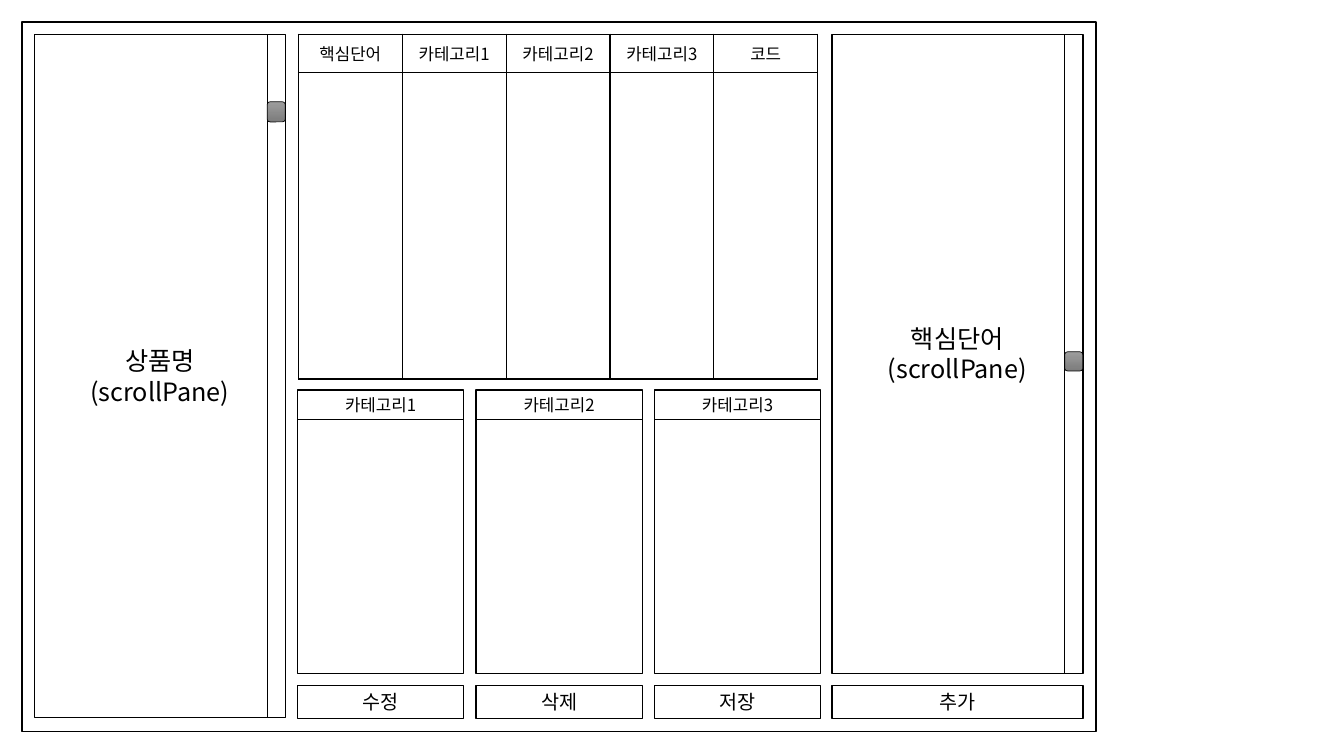
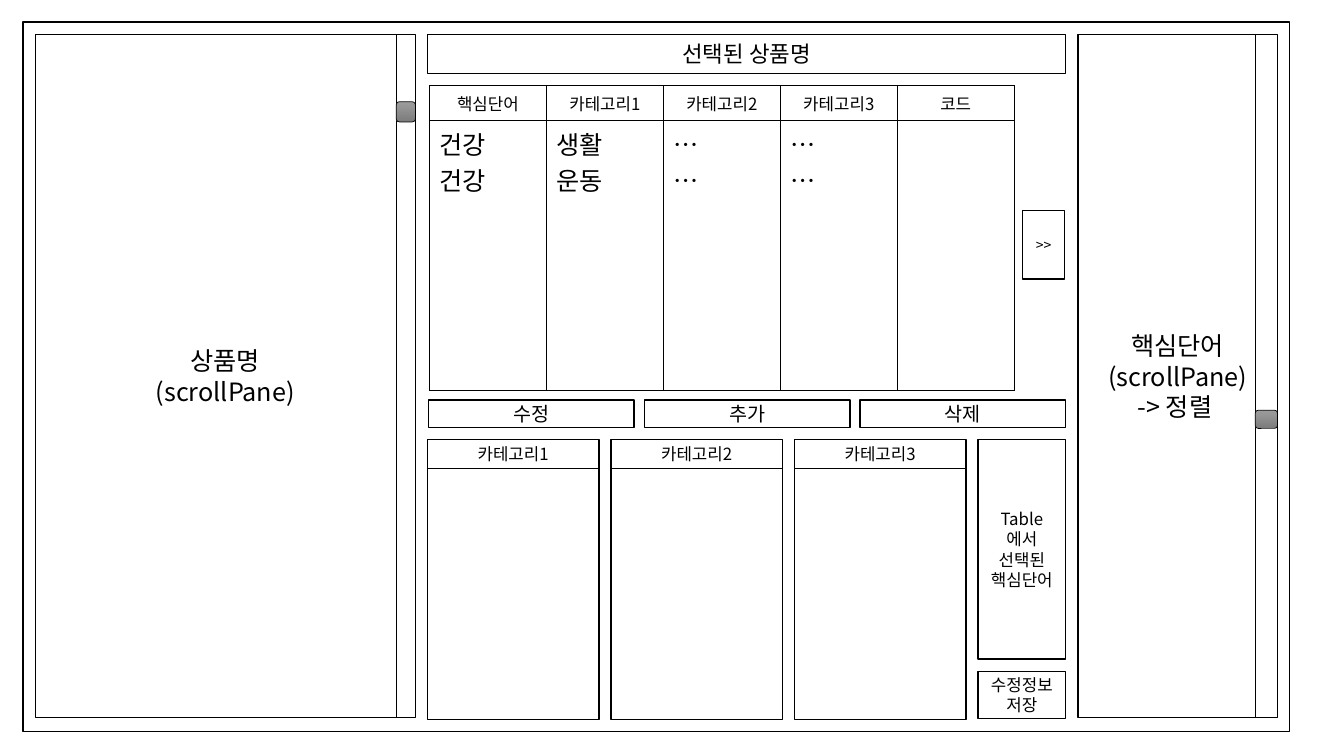
"""Build two wireframe slides for a product keyword and category editor."""
from dataclasses import dataclass
from typing import Optional

import lxml.etree
import pptx
import pptx.dml.color
import pptx.enum.shapes
import pptx.enum.text
import pptx.oxml
import pptx.oxml.ns
import pptx.shapes.autoshape
import pptx.slide
import pptx.table
import pptx.text.text
import pptx.util

Inches = pptx.util.Inches
Pt = pptx.util.Pt
PP_ALIGN = pptx.enum.text.PP_ALIGN
MSO_SHAPE = pptx.enum.shapes.MSO_SHAPE


@dataclass(frozen=True)
class Theme:
    """Colours, font, type sizes and line widths of both slides."""

    ink: str = "000000"
    paper: str = "FFFFFF"
    thumb_top: str = "9D9D9D"
    thumb_bottom: str = "7C7C7C"
    font: str = "Noto Sans CJK KR"
    pane_size: int = 18
    banner_size: int = 16
    button_size: int = 14
    label_size: int = 12
    small_size: int = 10
    box_leading: float = 1.2
    border: float = 1
    hairline: float = 0.5


@dataclass(frozen=True)
class Box:
    """A bordered rectangle with optional centred lines of text."""

    left: float
    top: float
    width: float
    height: float
    lines: tuple[str, ...] = ()
    size: int = 12


@dataclass(frozen=True)
class ScrollPane:
    """A pane with a scroll bar on its right and a thumb on the bar."""

    pane: Box
    bar_width: float
    thumb_top: float
    thumb_height: float


@dataclass(frozen=True)
class KeywordTable:
    """A header row above one tall row of listed entries."""

    left: float
    top: float
    column_width: float
    header_height: float
    body_height: float
    entries: tuple[tuple[str, ...], ...] = ()


@dataclass(frozen=True)
class Row:
    """Equal boxes placed at a constant step."""

    left: float
    top: float
    width: float
    height: float
    step: float

    def boxes(self, labels: tuple[str, ...], size: int) -> list[Box]:
        """Return one box for each label."""
        return [
            Box(self.left + index * self.step, self.top, self.width, self.height, (label,), size)
            for index, label in enumerate(labels)
        ]


THEME = Theme()
CATEGORIES = ("카테고리1", "카테고리2", "카테고리3")
TABLE_HEADERS = ("핵심단어", *CATEGORIES, "코드")
CATEGORY_HEADER_HEIGHT = 0.29


def color(value: str) -> pptx.dml.color.RGBColor:
    """Return the colour for a hexadecimal value."""
    return pptx.dml.color.RGBColor.from_string(value)


def write_paragraphs(
    frame: pptx.text.text.TextFrame,
    lines: tuple[str, ...],
    size: int,
    alignment: PP_ALIGN = PP_ALIGN.CENTER,
    leading: Optional[float] = None,
) -> None:
    """Write each line as a paragraph holding one formatted run."""
    for index, line in enumerate(lines):
        paragraph = frame.add_paragraph() if index else frame.paragraphs[0]
        paragraph.alignment = alignment
        if leading:
            paragraph.line_spacing = Pt(size * leading)
        run = paragraph.add_run()
        run.text = line
        run.font.size = Pt(size)
        run.font.name = THEME.font
        run.font.color.rgb = color(THEME.ink)
        east_asian = pptx.oxml.ns.qn("a:ea")
        lxml.etree.SubElement(run.font._element, east_asian, typeface=THEME.font)


def draw_shape(
    slide: pptx.slide.Slide, kind: MSO_SHAPE, box: Box, line_width: float
) -> pptx.shapes.autoshape.Shape:
    """Draw a white outlined preset shape without a shadow."""
    shape = slide.shapes.add_shape(
        kind, Inches(box.left), Inches(box.top), Inches(box.width), Inches(box.height)
    )
    shape.shadow.inherit = False
    shape.fill.solid()
    shape.fill.fore_color.rgb = color(THEME.paper)
    shape.line.color.rgb = color(THEME.ink)
    shape.line.width = Pt(line_width)
    return shape


def draw_box(slide: pptx.slide.Slide, box: Box) -> None:
    """Draw a rectangle with its text in the middle."""
    shape = draw_shape(slide, MSO_SHAPE.RECTANGLE, box, THEME.border)
    frame = shape.text_frame
    frame.word_wrap = True
    frame.vertical_anchor = pptx.enum.text.MSO_ANCHOR.MIDDLE
    write_paragraphs(frame, box.lines, box.size, leading=THEME.box_leading)


def draw_line(
    slide: pptx.slide.Slide, start: tuple[float, float], end: tuple[float, float]
) -> None:
    """Draw a thin straight line without a shadow."""
    line = slide.shapes.add_connector(
        pptx.enum.shapes.MSO_CONNECTOR.STRAIGHT, *map(Inches, (*start, *end))
    )
    line.line.color.rgb = color(THEME.ink)
    line.line.width = Pt(THEME.hairline)
    lxml.etree.SubElement(line._element.spPr, pptx.oxml.ns.qn("a:effectLst"))


def draw_scroll_pane(slide: pptx.slide.Slide, scroll_pane: ScrollPane) -> None:
    """Draw a pane, its scroll bar and the thumb."""
    pane = scroll_pane.pane
    draw_box(slide, pane)
    bar_left = pane.left + pane.width - scroll_pane.bar_width
    draw_line(slide, (bar_left, pane.top), (bar_left, pane.top + pane.height))
    thumb_box = Box(
        bar_left, scroll_pane.thumb_top, scroll_pane.bar_width, scroll_pane.thumb_height
    )
    thumb = draw_shape(slide, MSO_SHAPE.ROUNDED_RECTANGLE, thumb_box, THEME.hairline)
    thumb.fill.gradient()
    thumb.fill.gradient_angle = 270
    for stop, shade in zip(thumb.fill.gradient_stops, (THEME.thumb_top, THEME.thumb_bottom)):
        stop.color.rgb = color(shade)


def draw_category_lists(slide: pptx.slide.Slide, row: Row) -> None:
    """Draw the category lists, each under a ruled heading."""
    for box in row.boxes(CATEGORIES, THEME.label_size):
        draw_box(slide, Box(box.left, box.top, box.width, box.height))
        rule_top = box.top + CATEGORY_HEADER_HEIGHT
        draw_line(slide, (box.left, rule_top), (box.left + box.width, rule_top))
        heading = slide.shapes.add_textbox(
            Inches(box.left), Inches(box.top), Inches(box.width), Inches(CATEGORY_HEADER_HEIGHT)
        )
        heading.text_frame.word_wrap = True
        heading.text_frame.vertical_anchor = pptx.enum.text.MSO_ANCHOR.MIDDLE
        write_paragraphs(heading.text_frame, box.lines, box.size, leading=THEME.box_leading)


def format_cell(cell: pptx.table._Cell) -> None:
    """Give a cell a white fill and black borders."""
    cell.fill.solid()
    cell.fill.fore_color.rgb = color(THEME.paper)
    properties = cell._tc.get_or_add_tcPr()
    for index, side in enumerate(("lnL", "lnR", "lnT", "lnB")):
        border = pptx.oxml.parse_xml(
            f'<a:{side} {pptx.oxml.ns.nsdecls("a")} w="{Pt(THEME.border)}">'
            f'<a:solidFill><a:srgbClr val="{THEME.ink}"/></a:solidFill></a:{side}>'
        )
        properties.insert(index, border)


def draw_keyword_table(slide: pptx.slide.Slide, spec_table: KeywordTable) -> None:
    """Draw the keyword table with its headers and entries."""
    heights = (spec_table.header_height, spec_table.body_height)
    table = slide.shapes.add_table(
        len(heights),
        len(TABLE_HEADERS),
        Inches(spec_table.left),
        Inches(spec_table.top),
        Inches(spec_table.column_width * len(TABLE_HEADERS)),
        Inches(sum(heights)),
    ).table
    table.first_row = False
    table.horz_banding = False
    for row, height in zip(table.rows, heights):
        row.height = Inches(height)
    for index, header in enumerate(TABLE_HEADERS):
        table.columns[index].width = Inches(spec_table.column_width)
        header_cell = table.cell(0, index)
        header_cell.vertical_anchor = pptx.enum.text.MSO_ANCHOR.MIDDLE
        write_paragraphs(header_cell.text_frame, (header,), THEME.label_size)
    for index, lines in enumerate(spec_table.entries):
        body_frame = table.cell(1, index).text_frame
        write_paragraphs(body_frame, lines, THEME.pane_size, PP_ALIGN.LEFT)
    for cell in table.iter_cells():
        format_cell(cell)


def build_keyword_slide(slide: pptx.slide.Slide) -> None:
    """Draw the keyword editor window."""
    draw_box(slide, Box(0.22, 0.22, 10.65, 7.04))
    products = Box(0.34, 0.34, 2.49, 6.78, ("상품명", "(scrollPane)"), THEME.pane_size)
    draw_scroll_pane(slide, ScrollPane(products, 0.18, 1.01, 0.2))
    draw_category_lists(slide, Row(2.95, 3.87, 1.65, 2.81, 1.77))
    draw_keyword_table(slide, KeywordTable(2.96, 0.34, 1.03, 0.38, 3.04))
    keywords = Box(8.25, 0.34, 2.49, 6.34, ("핵심단어", "(scrollPane)"), THEME.pane_size)
    draw_scroll_pane(slide, ScrollPane(keywords, 0.18, 3.49, 0.19))
    buttons = Row(2.95, 6.8, 1.65, 0.33, 1.77)
    for button in buttons.boxes(("수정", "삭제", "저장"), THEME.button_size):
        draw_box(slide, button)
    draw_box(slide, Box(8.25, 6.8, 2.49, 0.33, ("추가",), THEME.button_size))


def build_product_slide(slide: pptx.slide.Slide) -> None:
    """Draw the window that edits the selected product."""
    draw_box(slide, Box(0.23, 0.22, 12.56, 7.04))
    products = Box(0.35, 0.34, 3.77, 6.78, ("상품명", "(scrollPane)"), THEME.pane_size)
    draw_scroll_pane(slide, ScrollPane(products, 0.19, 1.01, 0.2))
    entries = (("건강", "건강"), ("생활", "운동"), ("…", "…"), ("…", "…"))
    draw_keyword_table(slide, KeywordTable(4.26, 0.85, 1.16, 0.34, 2.68, entries))
    keyword_lines = ("핵심단어", "(scrollPane)", "-> 정렬 ")
    keywords = Box(10.69, 0.34, 1.98, 6.78, keyword_lines, THEME.pane_size)
    draw_scroll_pane(slide, ScrollPane(keywords, 0.22, 4.07, 0.18))
    draw_category_lists(slide, Row(4.24, 4.36, 1.7, 2.78, 1.82))
    buttons = Row(4.25, 3.97, 2.04, 0.27, 2.14)
    controls = (
        Box(4.24, 0.34, 6.33, 0.39, ("선택된 상품명",), THEME.banner_size),
        Box(10.14, 2.09, 0.42, 0.68, (">>",), THEME.small_size),
        Box(9.7, 4.36, 0.87, 2.18, ("Table에서 선택된 핵심단어",), THEME.label_size),
        Box(9.7, 6.66, 0.87, 0.47, ("수정정보 저장",), THEME.label_size),
        *buttons.boxes(("수정", "추가", "삭제"), THEME.button_size),
    )
    for control in controls:
        draw_box(slide, control)


def main() -> None:
    """Build the presentation and save it."""
    presentation = pptx.Presentation()
    presentation.slide_width = Inches(13.33)
    presentation.slide_height = Inches(7.5)
    blank_layout = presentation.slide_layouts[6]
    for build in (build_keyword_slide, build_product_slide):
        build(presentation.slides.add_slide(blank_layout))
    presentation.save("out.pptx")


main()
